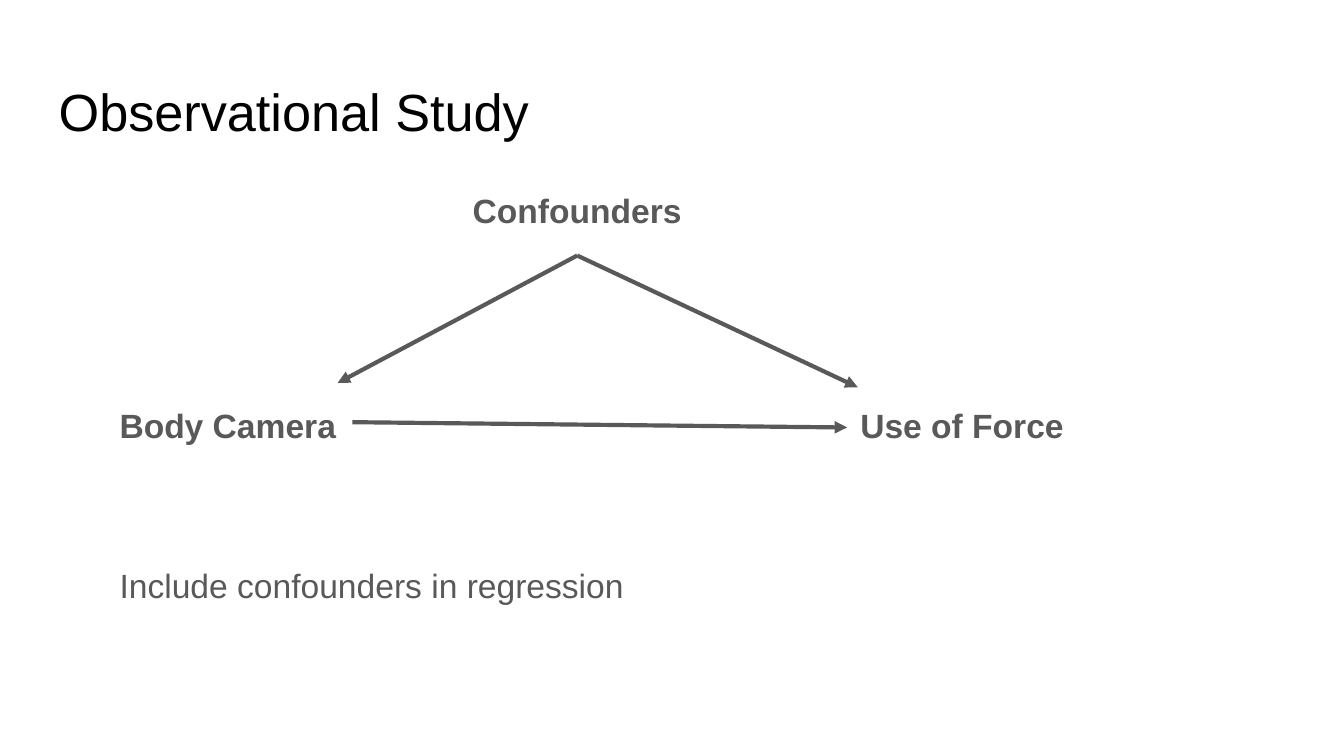
from pptx import Presentation, util as u
from pptx.dml.color import RGBColor
from pptx.enum import shapes as sh, text as tx
from pptx.oxml.ns import qn
from lxml import etree

COL = {"title": "000000", "body": "595959"}
NODE = (5.56, 1.6)


def color(key):
    return RGBColor.from_string(COL[key])


def write(shape, words, size, key, bold=False, align=tx.PP_ALIGN.LEFT):
    frame = shape.text_frame
    frame.text = words
    frame.word_wrap = True
    frame.auto_size = tx.MSO_AUTO_SIZE.NONE
    frame.vertical_anchor = tx.MSO_ANCHOR.TOP
    for side in ("left", "top", "right", "bottom"):
        setattr(frame, "margin_" + side, u.Cm(0.25))
    para = frame.paragraphs[0]
    para.alignment = align
    font = para.runs[0].font
    font.name, font.size, font.bold = "Arial", u.Pt(size), bold
    font.color.rgb = color(key)
    return para


def title(slide, box):
    head = slide.shapes.title
    head.left, head.top, head.width, head.height = map(u.Cm, box)
    write(head, "Observational Study", 28, "title")


def label(slide, box, words, **style):
    area = slide.shapes.add_textbox(*map(u.Cm, box))
    para = write(area, words, 18, "body", **style)
    para.line_spacing = 1.15
    para.space_after = u.Pt(16)


def arrow(slide, start, end):
    line = slide.shapes.add_connector(
        sh.MSO_CONNECTOR.STRAIGHT, *map(u.Cm, start + end))
    line.line.color.rgb = color("body")
    line.line.width = u.Pt(2.25)
    etree.SubElement(line.line._get_or_add_ln(), qn("a:tailEnd"), type="triangle")
    etree.SubElement(line._element.spPr, qn("a:effectLst"))


def graph(slide, box):
    left, top, width, height = box
    wide, high = NODE
    row = top + height - high
    right = left + width - wide
    mid = left + 6.12
    peak = (mid + wide / 2, top + high)
    label(slide, (left, row, *NODE), "Body Camera", bold=True)
    label(slide, (right, row, *NODE), "Use of Force", bold=True)
    label(slide, (mid, top, *NODE), "Confounders", bold=True,
          align=tx.PP_ALIGN.CENTER)
    arrow(slide, (left + 4.65, row + 0.69), (right, row + 0.79))
    arrow(slide, peak, (right + 0.2, row + 0.03))
    arrow(slide, peak, (left + 4.37, row - 0.05))


deck = Presentation()
deck.slide_width, deck.slide_height = u.Cm(25.4), u.Cm(14.29)
page = deck.slides.add_slide(deck.slide_layouts[5])
title(page, (0.86, 1.24, 23.67, 1.6))
graph(page, (2.01, 3.23, 19.56, 5.66))
label(page, (2.01, 10.31, 20.19, 3.25), "Include confounders in regression")
deck.save("out.pptx")
